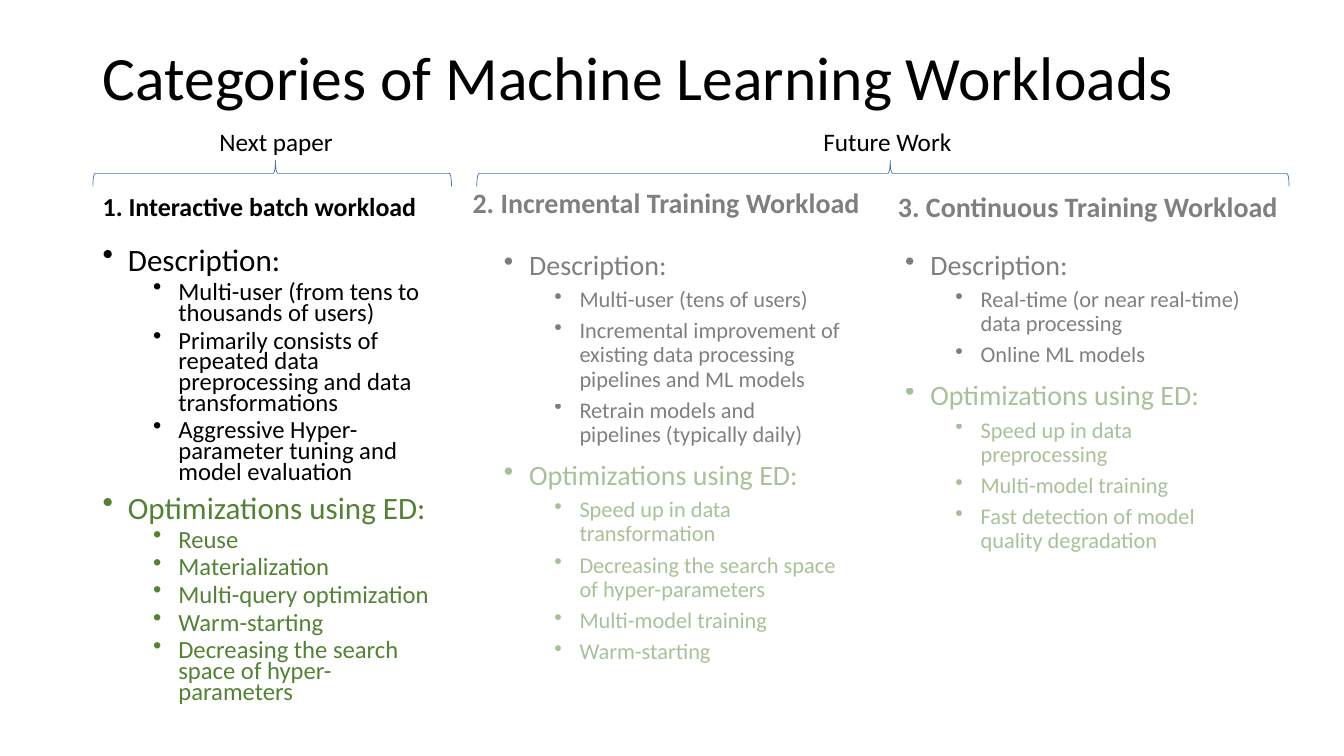
from dataclasses import dataclass

from lxml import etree
from pptx import Presentation
from pptx import util as u
from pptx.dml.color import RGBColor
from pptx.enum import shapes, text
from pptx.oxml.ns import qn


@dataclass(frozen=True)
class Theme:
    font: str = "Calibri"
    ink: str = "000000"
    green: str = "548235"
    blue: str = "4472C4"
    title: float = 44
    label: float = 18
    faded: int = 50  # opacity of future work, in percent


@dataclass(frozen=True)
class Density:
    topic: float
    detail: float
    leading: float


THEME = Theme()
COMPACT = Density(topic=22.2, detail=17.6, leading=0.7)
REGULAR = Density(topic=20, detail=16, leading=0.9)


def write(paragraph, words, *, size, color=THEME.ink, opacity=100, bold=False,
          leading=None, before=0, level=None):
    """Fill a paragraph; a level gives it a bullet and a hanging indent."""
    paragraph.space_before = u.Pt(before)
    if leading:
        paragraph.line_spacing = leading
    if level is not None:
        paragraph.level = level
        properties = paragraph._p.get_or_add_pPr()
        properties.set("marL", str(u.Cm(0.635 + 1.27 * level)))
        properties.set("indent", str(-u.Cm(0.635)))
        etree.SubElement(properties, qn("a:buChar")).set("char", "•")
    run = paragraph.add_run()
    run.text = words
    font = run.font
    font.name, font.size, font.bold = THEME.font, u.Pt(size), bold
    font.color.rgb = RGBColor.from_string(color)
    if opacity < 100:
        tint = run._r.find(".//" + qn("a:srgbClr"))
        etree.SubElement(tint, qn("a:alpha")).set("val", str(opacity * 1000))


class WorkloadSlide:
    def __init__(self, deck, theme):
        self.theme = theme
        self.slide = deck.slides.add_slide(deck.slide_layouts[6])

    def frame(self, left, top, width, height, middle=False, wrap=True):
        box = self.slide.shapes.add_textbox(
            u.Cm(left), u.Cm(top), u.Cm(width), u.Cm(height))
        frame = box.text_frame
        frame.word_wrap = wrap
        anchor = text.MSO_ANCHOR
        frame.vertical_anchor = anchor.MIDDLE if middle else anchor.TOP
        return frame

    def title(self, words):
        frame = self.frame(2.34, 1.02, 29.21, 2.03, middle=True)
        write(frame.paragraphs[0], words, size=self.theme.title, leading=0.9)

    def heading(self, words, left, width, **style):
        frame = self.frame(left, 4.52, width, 1.35, middle=True)
        write(frame.paragraphs[0], words, bold=True, **style)

    def stage(self, words, left, width):
        frame = self.frame(left, 3.05, width, 1.02, wrap=False)
        write(frame.paragraphs[0], words, size=self.theme.label)

    def brace(self, center, span, middle=4.37, depth=0.66):
        # A left brace turned to open downwards over its columns
        brace = self.slide.shapes.add_shape(
            shapes.MSO_SHAPE.LEFT_BRACE, u.Cm(center - depth / 2),
            u.Cm(middle - span / 2), u.Cm(depth), u.Cm(span))
        brace.rotation = 90
        brace.adjustments[0], brace.adjustments[1] = 0.083, 0.491
        brace.shadow.inherit = False
        brace.fill.background()
        brace.line.color.rgb = RGBColor.from_string(self.theme.blue)
        brace.line.width = u.Pt(0.5)

    def outline(self, left, description, optimizations, density, opacity):
        frame = self.frame(left, 6.2, 8.99, 12.5)
        paragraph = frame.paragraphs[0]
        sections = (("Description:", description, self.theme.ink),
                    ("Optimizations using ED:", optimizations, self.theme.green))
        for topic, details, color in sections:
            lines = [(topic, 0)] + [(detail, 1) for detail in details]
            for words, level in lines:
                paragraph = paragraph or frame.add_paragraph()
                write(paragraph, words, color=color, opacity=opacity,
                      size=density.detail if level else density.topic,
                      leading=density.leading, before=5 if level else 10,
                      level=level)
                paragraph = None


def main():
    deck = Presentation()
    deck.slide_width, deck.slide_height = u.Cm(33.87), u.Cm(19.05)
    page = WorkloadSlide(deck, THEME)
    page.title("Categories of Machine Learning Workloads")

    # Interactive workload
    page.outline(
        2.34,
        ["Multi-user (from tens to thousands of users)",
         "Primarily consists of repeated data preprocessing and data transformations",
         "Aggressive Hyper-parameter tuning and model evaluation"],
        ["Reuse", "Materialization", "Multi-query optimization", "Warm-starting",
         "Decreasing the search space of hyper-parameters"],
        COMPACT, 100)
    page.heading("1. Interactive batch workload", 2.34, 8.99, size=18.5)

    # Incremental workload
    page.outline(
        12.45,
        ["Multi-user (tens of users)",
         "Incremental improvement of existing data processing pipelines and ML models",
         "Retrain models and pipelines (typically daily)"],
        ["Speed up in data transformation",
         "Decreasing the search space of hyper-parameters",
         "Multi-model training", "Warm-starting"],
        REGULAR, THEME.faded)
    page.heading("2. Incremental Training Workload", 11.66, 10.46, size=20,
                 opacity=THEME.faded, leading=0.7)

    # Continuous workload
    page.outline(
        22.56,
        ["Real-time (or near real-time) data processing", "Online ML models"],
        ["Speed up in data preprocessing", "Multi-model training",
         "Fast detection of model quality degradation"],
        REGULAR, THEME.faded)
    page.heading("3. Continuous Training Workload", 22.38, 10.39, size=20,
                 opacity=THEME.faded)

    # Stages above the columns
    page.brace(center=6.86, span=9.04)
    page.brace(center=22.25, span=20.47)
    page.stage("Future Work", 20.5, 3.78)
    page.stage("Next paper", 5.28, 3.4)

    deck.save("out.pptx")


if __name__ == "__main__":
    main()
